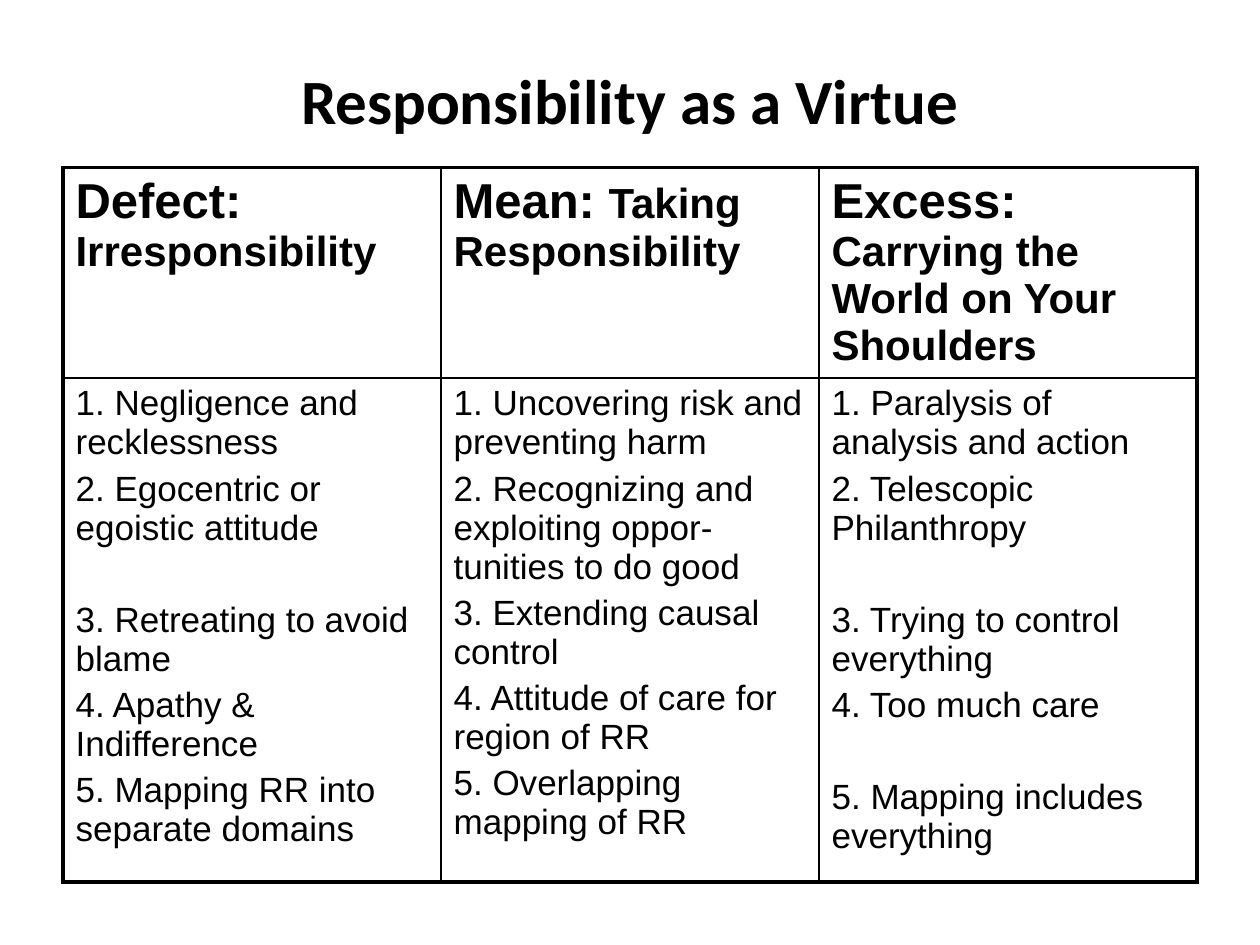
from pptx import Presentation
from pptx.dml.color import RGBColor
from pptx.enum.text import MSO_ANCHOR, MSO_AUTO_SIZE, PP_ALIGN
from pptx.oxml.ns import qn
from pptx.util import Inches, Pt
from lxml.etree import SubElement

COLORS = {"ink": "000000"}
FORMATS = {
    "title": {"name": "Calibri", "size": Pt(36), "bold": True},
    "label": {"name": "Arial", "size": Pt(28), "bold": True},
    "heading": {"name": "Arial", "size": Pt(24), "bold": True},
    "item": {"name": "Arial", "size": Pt(20), "bold": False},
}
OUTER, INNER = Pt(2.25), Pt(1)
ITEM_GAP, WIDE_GAP = Pt(4), Pt(30.3)

# Each column: label, heading, items, numbers of items with a wide gap above
COLUMNS = [
    ("Defect: ", "Irresponsibility",
     ["Negligence and recklessness", "Egocentric or egoistic attitude",
      "Retreating to avoid blame", "Apathy & Indifference",
      "Mapping RR into separate domains"], {3}),
    ("Mean: ", "Taking Responsibility",
     ["Uncovering risk and preventing harm",
      "Recognizing and exploiting oppor-tunities to do good",
      "Extending causal control", "Attitude of care for region of RR",
      "Overlapping mapping of RR"], set()),
    ("Excess: ", "Carrying the World on Your Shoulders",
     ["Paralysis of analysis and action", "Telescopic Philanthropy",
      "Trying to control everything", "Too much care",
      "Mapping includes everything"], {3, 5}),
]


class SlideBuilder:
    def __init__(self, page):
        self.page = page

    def span(self, para, text, style):
        span = para.add_run()
        span.text = text
        for key, value in FORMATS[style].items():
            setattr(span.font, key, value)
        span.font.color.rgb = RGBColor.from_string(COLORS["ink"])

    def title(self, text, left, top, width, height):
        box = self.page.shapes.title
        place = {"left": left, "top": top, "width": width, "height": height}
        for key, value in place.items():
            setattr(box, key, Inches(value))
        frame = box.text_frame
        frame.auto_size = MSO_AUTO_SIZE.NONE
        frame.vertical_anchor = MSO_ANCHOR.MIDDLE
        para = frame.paragraphs[0]
        para.alignment = PP_ALIGN.CENTER
        self.span(para, text, "title")

    def borders(self, cell, widths):
        properties = cell._tc.get_or_add_tcPr()
        for side, width in widths.items():
            line = SubElement(properties, qn(f"a:ln{side}"), w=str(int(width)))
            fill = SubElement(line, qn("a:solidFill"))
            SubElement(fill, qn("a:srgbClr"), val=COLORS["ink"])
        cell.fill.background()

    def table(self, columns, left, top, width, row_heights):
        frame = self.page.shapes.add_table(
            len(row_heights), len(columns), Inches(left), Inches(top),
            Inches(width), Inches(sum(row_heights)))
        table = frame.table
        table.first_row = table.horz_banding = False
        for row, height in zip(table.rows, row_heights):
            row.height = Inches(height)

        for index, (label, heading, items, wide) in enumerate(columns):
            table.columns[index].width = Inches(width / len(columns))
            head, body = table.cell(0, index), table.cell(1, index)

            # Heading cell
            para = head.text_frame.paragraphs[0]
            self.span(para, label, "label")
            self.span(para, heading, "heading")

            # Numbered items
            for number, item in enumerate(items, 1):
                if number == 1:
                    para = body.text_frame.paragraphs[0]
                else:
                    para = body.text_frame.add_paragraph()
                    para.space_before = WIDE_GAP if number in wide else ITEM_GAP
                self.span(para, f"{number}. {item}", "item")

            # Heavy outer frame, thin inner rules
            sides = {"L": INNER if index else OUTER,
                     "R": INNER if index < len(columns) - 1 else OUTER}
            self.borders(head, {**sides, "T": OUTER, "B": INNER})
            self.borders(body, {**sides, "T": INNER, "B": OUTER})


def main():
    deck = Presentation()
    deck.slide_width, deck.slide_height = Inches(10), Inches(7.5)
    page = deck.slides.add_slide(deck.slide_layouts.get_by_name("Title Only"))
    builder = SlideBuilder(page)
    builder.title("Responsibility as a Virtue", 0.5, 0.5, 9, 0.58)
    builder.table(COLUMNS, 0.5, 1.33, 9, [1.67, 4])
    deck.save("out.pptx")


if __name__ == "__main__":
    main()
